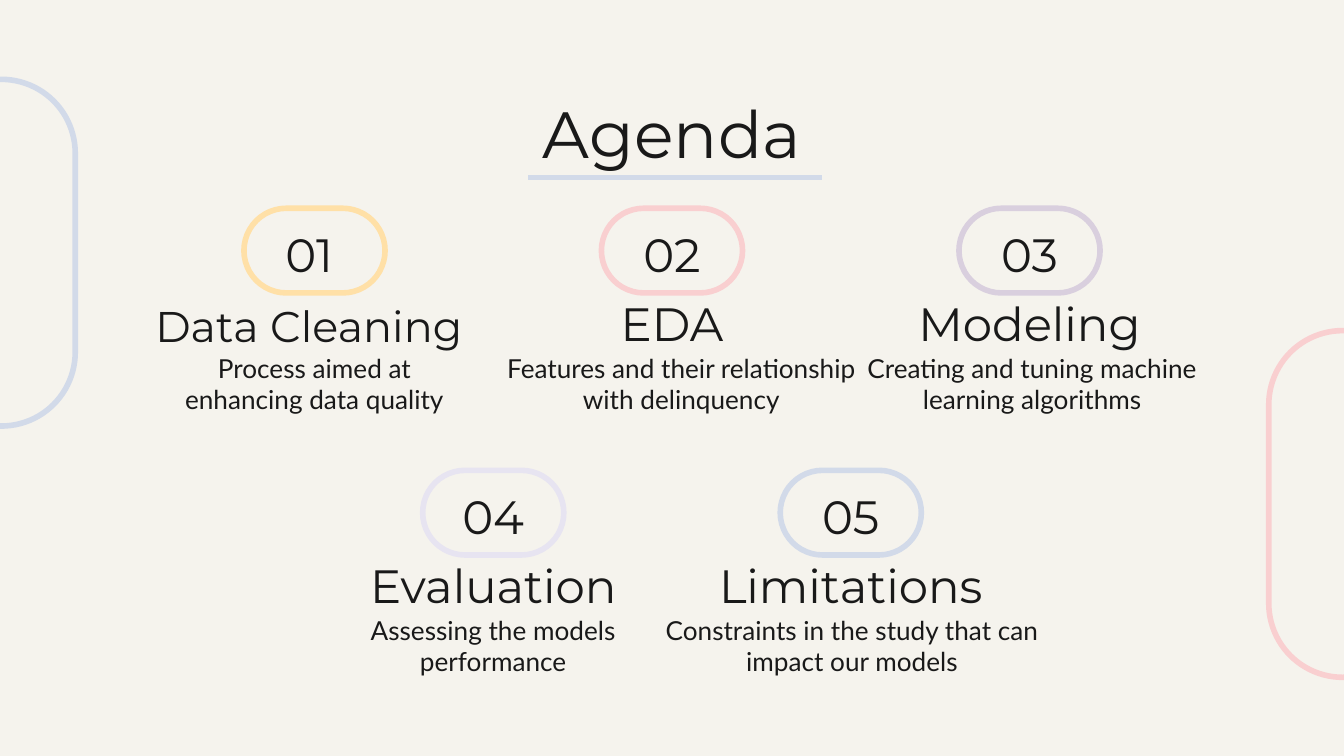
from pptx import Presentation, util as u
from pptx.dml.color import RGBColor
from pptx.enum import shapes, text
from lxml import etree

INK = RGBColor(0x19, 0x19, 0x19)
PAPER = RGBColor(0xF5, 0xF3, 0xED)
BLUE = RGBColor(0xD2, 0xDA, 0xE9)
PINK = RGBColor(0xF9, 0xCF, 0xD0)
YELLOW = RGBColor(0xFF, 0xE0, 0xA7)
MAUVE = RGBColor(0xD9, 0xCF, 0xDE)
LILAC = RGBColor(0xE7, 0xE4, 0xF1)

deck = Presentation()
deck.slide_width, deck.slide_height = u.Inches(10), u.Inches(5.625)
page = deck.slides.add_slide(deck.slide_layouts[5])
page.background.fill.solid()
page.background.fill.fore_color.rgb = PAPER

# Items sit on half-columns either side of the slide's centre, in two rows
CENTRE, HALF_COLUMN = 5, 1.33
ROWS = [1.55, 3.5]
PILL_WIDTH, PILL_HEIGHT = 1.05, 0.63


def add_pill(left, top, width, height, color):
    pill = page.shapes.add_shape(
        shapes.MSO_SHAPE.ROUNDED_RECTANGLE,
        u.Inches(left), u.Inches(top), u.Inches(width), u.Inches(height))
    pill.adjustments[0] = 0.5
    pill.shadow.inherit = False
    pill.fill.background()
    pill.line.color.rgb = color
    pill.line.width = u.Pt(3)
    return pill


def write(box, centre, top, width, height, words, size, font="Montserrat",
          anchor=text.MSO_ANCHOR.BOTTOM):
    """Place a text box around a centre line and format its one paragraph."""
    box.left, box.top = u.Inches(centre - width / 2), u.Inches(top)
    box.width, box.height = u.Inches(width), u.Inches(height)
    frame = box.text_frame
    frame.text = words
    frame.word_wrap = True
    frame.auto_size = text.MSO_AUTO_SIZE.NONE
    frame.vertical_anchor = anchor
    frame.margin_left = frame.margin_right = u.Inches(0.1)
    frame.margin_top = frame.margin_bottom = u.Inches(0.1)
    para = frame.paragraphs[0]
    para.alignment = text.PP_ALIGN.CENTER
    span = para.runs[0]
    span.font.name, span.font.size = font, u.Pt(size)
    span.font.color.rgb = INK


# Side outlines run off the slide's edges
for left, top, color in [(-1.28, 1.33, BLUE), (8.7, 3.2, PINK)]:
    add_pill(left, top, 2.58, 1.1, color).rotation = 90

write(page.shapes.title, CENTRE, 0.59, 8.43, 0.63, "Agenda", 35,
      anchor=text.MSO_ANCHOR.TOP)
underline = page.shapes.add_connector(
    shapes.MSO_CONNECTOR.STRAIGHT,
    u.Inches(3.93), u.Inches(1.32), u.Inches(6.12), u.Inches(1.32))
underline.line.color.rgb = BLUE
underline.line.width = u.Pt(3)
etree.SubElement(
    underline._element.spPr,
    "{http://schemas.openxmlformats.org/drawingml/2006/main}effectLst")

# half-column, row, colour, heading, size, width, heading shift,
# description, width, description shift
agenda = [
    (-2, 0, YELLOW, "Data Cleaning", 23, 2.64, -0.04,
     "Process aimed at enhancing data quality", 2.27, 0),
    (0, 0, PINK, "EDA", 25, 2.27, 0,
     "Features and their relationship with delinquency", 2.91, 0.07),
    (2, 0, MAUVE, "Modeling", 25, 2.27, 0,
     "Creating and tuning machine learning algorithms", 3.08, 0.02),
    (-1, 1, LILAC, "Evaluation", 25, 2.27, 0,
     "Assessing the models performance", 2.27, 0),
    (1, 1, BLUE, "Limitations", 25, 2.27, 0,
     "Constraints in the study that can impact our models", 3.24, 0.01),
]

for number, (column, row, color, heading, size, heading_width, heading_shift,
             description, width, shift) in enumerate(agenda, start=1):
    centre, top = CENTRE + column * HALF_COLUMN, ROWS[row]
    add_pill(centre - PILL_WIDTH / 2, top, PILL_WIDTH, PILL_HEIGHT, color)
    number_box, heading_box, description_box = [
        page.shapes.add_textbox(0, 0, 0, 0) for _ in range(3)]
    write(number_box, centre + heading_shift, top, 0.77, 0.65,
          f"{number:02}", 25)
    write(heading_box, centre + heading_shift, top + 0.58, heading_width, 0.58,
          heading, size)
    write(description_box, centre + shift, top + 0.97, width, 0.53,
          description, 14, "Lato", text.MSO_ANCHOR.TOP)

deck.save("out.pptx")
